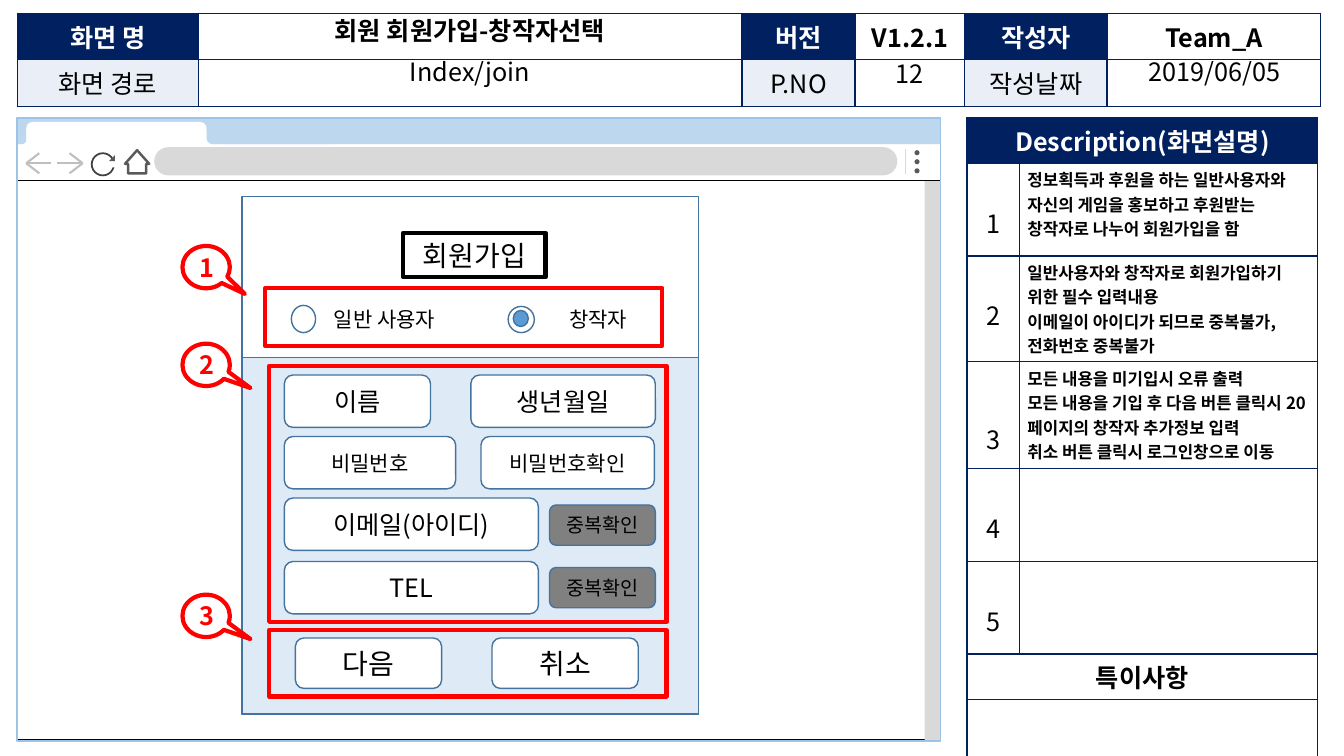
import pptx
import pptx.util
import pptx.oxml
import pptx.oxml.ns
import pptx.dml.color
import pptx.enum.shapes
import pptx.enum.text

RGB = pptx.dml.color.RGBColor
SHAPE = pptx.enum.shapes.MSO_SHAPE
ANCHOR = pptx.enum.text.MSO_ANCHOR
ALIGN = pptx.enum.text.PP_ALIGN
Inches, Pt = pptx.util.Inches, pptx.util.Pt
qn = pptx.oxml.ns.qn

FONT = "Noto Sans CJK KR"
BLACK, WHITE = RGB(0, 0, 0), RGB(255, 255, 255)
NAVY, PALE = RGB(0x00, 0x20, 0x60), RGB(0xEA, 0xEF, 0xF7)
RED, BLUE = RGB(0xFF, 0, 0), RGB(0x43, 0x73, 0x9E)
SKY, PANEL = RGB(0xBD, 0xD7, 0xEE), RGB(0xDE, 0xEB, 0xF7)
FRAME, DOT = RGB(0x9D, 0xC3, 0xE6), RGB(0x5B, 0x9B, 0xD5)
LIGHT, SILVER = RGB(0xD9, 0xD9, 0xD9), RGB(0xBF, 0xBF, 0xBF)
GRAY, DARK, INK = RGB(0x80, 0x80, 0x80), RGB(0x59, 0x59, 0x59), RGB(0x40, 0x40, 0x40)

TITLE = "회원 회원가입-창작자선택"
HEAD = [["화면 명", "", "버전", "V1.2.1", "작성자", "Team_A"],
        ["화면 경로", "", "P.NO", "", "작성날짜", ""]]
HEAD_COLS = [1.8, 5.39, 1.12, 1.09, 1.41, 2.12]
VALUES = [("Index/join", 1.97, 5.38, ANCHOR.TOP, 0.9),
          ("12", 8.48, 1.08, ANCHOR.MIDDLE, None),
          ("2019/06/05", 10.99, 2.11, ANCHOR.TOP, 0.9)]

NOTE_HEAD, NOTE_FOOT = "Description(화면설명)", "특이사항"
NOTES = [  # lines, line spacing of the number
    (["정보획득과 후원을 하는 일반사용자와 자신의 게임을 홍보하고 후원받는 창작자로 나누어 회원가입을 함"], 2),
    (["일반사용자와 창작자로 회원가입하기 위한 필수 입력내용",
      "이메일이 아이디가 되므로 중복불가, 전화번호 중복불가"], 2),
    (["모든 내용을 미기입시 오류 출력",
      "모든 내용을 기입 후 다음 버튼 클릭시 20페이지의 창작자 추가정보 입력",
      "취소 버튼 클릭시 로그인창으로 이동"], 2.5),
    ([], 2), ([], 2)]
NOTE_ROWS = [0.45, 0.92, 1.05, 1.06, 0.92, 0.92, 0.45, 0.65]

FIELDS = [  # label, left, top, width, height, size, fill
    ("이름", 2.82, 3.72, 1.45, 0.52, 18, WHITE),
    ("생년월일", 4.67, 3.72, 1.83, 0.52, 18, WHITE),
    ("비밀번호", 2.82, 4.33, 1.7, 0.52, 15, WHITE),
    ("비밀번호확인", 4.77, 4.33, 1.72, 0.52, 15, WHITE),
    ("이메일(아이디)", 2.82, 4.94, 2.52, 0.52, 18, WHITE),
    ("중복확인", 5.45, 5.01, 1.05, 0.4, 14, GRAY),
    ("TEL", 2.82, 5.57, 2.52, 0.52, 18, WHITE),
    ("중복확인", 5.45, 5.63, 1.05, 0.4, 14, GRAY),
    ("다음", 2.93, 6.33, 1.45, 0.5, 20, WHITE),
    ("취소", 4.88, 6.33, 1.45, 0.5, 20, WHITE)]
CHOICES = [("일반 사용자", 3.11), ("창작자", 5.23)]
MARKS = [  # red box, callout top, callout tip
    ((2.63, 2.86, 3.94, 0.57), 2.44, (0.818, 0.634)),
    ((2.67, 3.63, 3.94, 2.54), 3.41, (0.936, 0.547)),
    ((2.67, 6.25, 3.94, 0.66), 5.9, (0.936, 0.547))]

deck = pptx.Presentation()
deck.slide_width, deck.slide_height = Inches(13.33), Inches(7.5)
slide = deck.slides.add_slide(deck.slide_layouts[5])


def write(frame, lines, size=18, color=BLACK, bold=False,
          align=ALIGN.CENTER, gap=None):
    frame.word_wrap = True
    for i, line in enumerate(lines):
        para = frame.paragraphs[0] if i == 0 else frame.add_paragraph()
        para.text, para.alignment = line, align
        if gap:
            para.line_spacing = gap
        font = para.font
        font.name, font.size, font.bold = FONT, Pt(size), bold
        font.color.rgb = color
        # East Asian letters need their own typeface entry
        east = pptx.oxml.parse_xml(
            f'<a:ea {pptx.oxml.ns.nsdecls("a")} typeface="{FONT}"/>')
        para._p.pPr.find(qn("a:defRPr")).append(east)


def draw(kind, box, fill=None, line=None, width=1, adj=()):
    shape = slide.shapes.add_shape(kind, *map(Inches, box))
    shape.shadow.inherit = False
    for i, value in enumerate(adj):
        shape.adjustments[i] = value
    if fill is None:
        shape.fill.background()
    else:
        shape.fill.solid()
        shape.fill.fore_color.rgb = fill
    if line is None:
        shape.line.fill.background()
    else:
        shape.line.color.rgb, shape.line.width = line, Pt(width)
    return shape


def rule(x1, y1, x2, y2, color, width):
    line = slide.shapes.add_connector(
        pptx.enum.shapes.MSO_CONNECTOR.STRAIGHT, *map(Inches, (x1, y1, x2, y2)))
    line.line.color.rgb, line.line.width = color, Pt(width)
    line._element.spPr.append(pptx.oxml.parse_xml(
        f'<a:effectLst {pptx.oxml.ns.nsdecls("a")}/>'))


def label(text, box, size=18, anchor=ANCHOR.TOP, gap=None):
    frame = slide.shapes.add_textbox(*map(Inches, box)).text_frame
    frame.vertical_anchor = anchor
    write(frame, [text], size, gap=gap)


def grid(left, top, cols, rows):
    """Add a plain table with navy borders and no fills."""
    table = slide.shapes.add_table(
        len(rows), len(cols), *map(Inches, (left, top, sum(cols), sum(rows)))).table
    table.first_row = table.horz_banding = False
    for col, size in zip(table.columns, cols):
        col.width = Inches(size)
    for row, size in zip(table.rows, rows):
        row.height = Inches(size)
    for cell in table.iter_cells():
        props = cell._tc.get_or_add_tcPr()
        for side in ("lnL", "lnR", "lnT", "lnB"):
            props.append(pptx.oxml.parse_xml(
                f'<a:{side} {pptx.oxml.ns.nsdecls("a")} w="12700"><a:solidFill>'
                f'<a:srgbClr val="{NAVY}"/></a:solidFill></a:{side}>'))
        cell.fill.background()
    return table


def paint(cell, color):
    cell.fill.solid()
    cell.fill.fore_color.rgb = color


def browser():
    rect, pill, oval = SHAPE.RECTANGLE, SHAPE.ROUNDED_RECTANGLE, SHAPE.OVAL
    draw(rect, (0.16, 1.78, 9.16, 5.56), WHITE, BLACK, 0.5)
    draw(rect, (9.17, 1.79, 0.16, 5.55), LIGHT)
    draw(rect, (0.17, 1.42, 9.16, 0.37), WHITE, BLACK, 0.5)
    draw(pill, (1.53, 1.46, 7.37, 0.28), LIGHT, adj=[0.5])
    for i in range(3):
        draw(oval, (9.07, 1.49 + 0.09 * i, 0.05, 0.05), DARK)
    rule(8.98, 1.48, 8.98, 1.73, LIGHT, 1)
    draw(rect, (0.17, 1.17, 9.16, 0.26), SKY)
    for tip, way in ((0.26, 1), (0.82, -1)):
        for run, rise in ((0.25, 0), (0.13, -0.1), (0.13, 0.1)):
            rule(tip, 1.62, tip + way * run, 1.62 + rise, SILVER, 1.5)
    draw(oval, (0.91, 1.52, 0.22, 0.22), None, INK, 1.25)
    draw(rect, (1.09, 1.58, 0.08, 0.08), WHITE)
    draw(SHAPE.ISOSCELES_TRIANGLE, (1.08, 1.54, 0.06, 0.06), DARK, adj=[1])
    home = draw(SHAPE.DOWN_ARROW, (1.24, 1.49, 0.24, 0.23), WHITE, DARK, 1.75,
                [0.75, 0.586])
    home.rotation = 180
    for box, fill, bend in (((0.26, 1.21, 1.79, 0.23), WHITE, 0.276),
                            ((1.88, 1.3, 0.34, 0.15), WHITE, 0.167),
                            ((2.05, 1.23, 1.27, 0.2), SKY, 0.276),
                            ((0.21, 1.3, 0.13, 0.15), WHITE, 0.167),
                            ((0.17, 1.23, 0.09, 0.2), SKY, 0.462)):
        draw(pill, box, fill, adj=[bend])
    draw(rect, (0.17, 1.17, 9.16, 6.18), None, FRAME)


def header():
    table = grid(0.17, 0.13, HEAD_COLS, [0.46, 0.46])
    for r, row in enumerate(HEAD):
        for c, text in enumerate(row):
            cell, key = table.cell(r, c), c % 2 == 0
            if key:
                paint(cell, PALE if r else NAVY)
            write(cell.text_frame, [text], 18,
                  WHITE if key and r == 0 else BLACK, r == 0)
    title = slide.shapes.title
    title.left, title.top, title.width, title.height = map(
        Inches, (1.97, 0.14, 5.38, 0.38))
    title.text_frame.auto_size = pptx.enum.text.MSO_AUTO_SIZE.NONE
    title.text_frame.vertical_anchor = ANCHOR.TOP
    write(title.text_frame, [TITLE], bold=True, gap=0.9)
    for text, left, width, anchor, gap in VALUES:
        label(text, (left, 0.54, width, 0.38), 18, anchor, gap)


def notes():
    table = grid(9.59, 1.17, [0.52, 2.96], NOTE_ROWS)
    for cell in table.iter_cells():
        cell.margin_left = cell.margin_right = Inches(0.08)
        cell.margin_top = cell.margin_bottom = Inches(0.04)
    last = len(NOTE_ROWS) - 1
    for r in (0, last - 1, last):
        table.cell(r, 0).merge(table.cell(r, 1))
    paint(table.cell(0, 0), NAVY)
    write(table.cell(0, 0).text_frame, [NOTE_HEAD], 18, WHITE, True)
    write(table.cell(last - 1, 0).text_frame, [NOTE_FOOT], bold=True)
    for r, (lines, gap) in enumerate(NOTES, 1):
        write(table.cell(r, 0).text_frame, [str(r)], gap=gap)
        write(table.cell(r, 1).text_frame, lines, 12, bold=True, align=ALIGN.LEFT)


def form():
    draw(SHAPE.RECTANGLE, (2.4, 1.95, 4.53, 5.14), None, BLUE)
    draw(SHAPE.RECTANGLE, (2.4, 3.55, 4.53, 3.53), PANEL, BLUE)
    name = draw(SHAPE.RECTANGLE, (4, 2.31, 1.41, 0.44), None, BLACK, 3)
    write(name.text_frame, ["회원가입"], 20)
    for text, *box, size, fill in FIELDS:
        field = draw(SHAPE.ROUNDED_RECTANGLE, box, fill, BLUE)
        write(field.text_frame, [text], size)
    draw(SHAPE.OVAL, (2.89, 3.03, 0.24, 0.27), None, BLUE)
    draw(SHAPE.OVAL, (5.04, 3.04, 0.26, 0.26), None, BLUE)
    draw(SHAPE.OVAL, (5.09, 3.08, 0.15, 0.16), DOT, BLUE)
    for text, left in CHOICES:
        label(text, (left, 2.99, 1.41, 0.35), 15)
    for i, (box, top, tip) in enumerate(MARKS, 1):
        draw(SHAPE.RECTANGLE, box, None, RED, 3)
        mark = draw(SHAPE.OVAL_CALLOUT, (1.81, top, 0.47, 0.42), None, RED, 3, tip)
        write(mark.text_frame, [str(i)], 18, RED, True)


browser()
header()
notes()
form()
deck.save("out.pptx")
